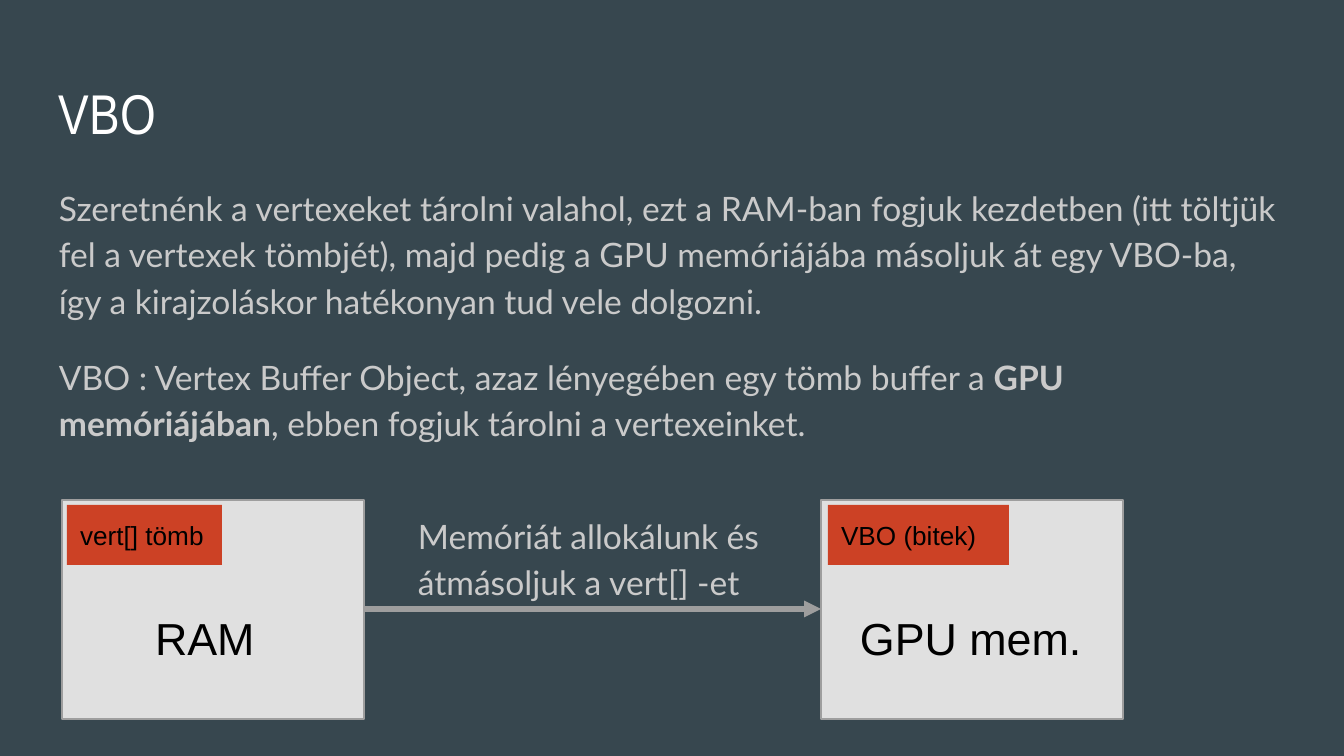
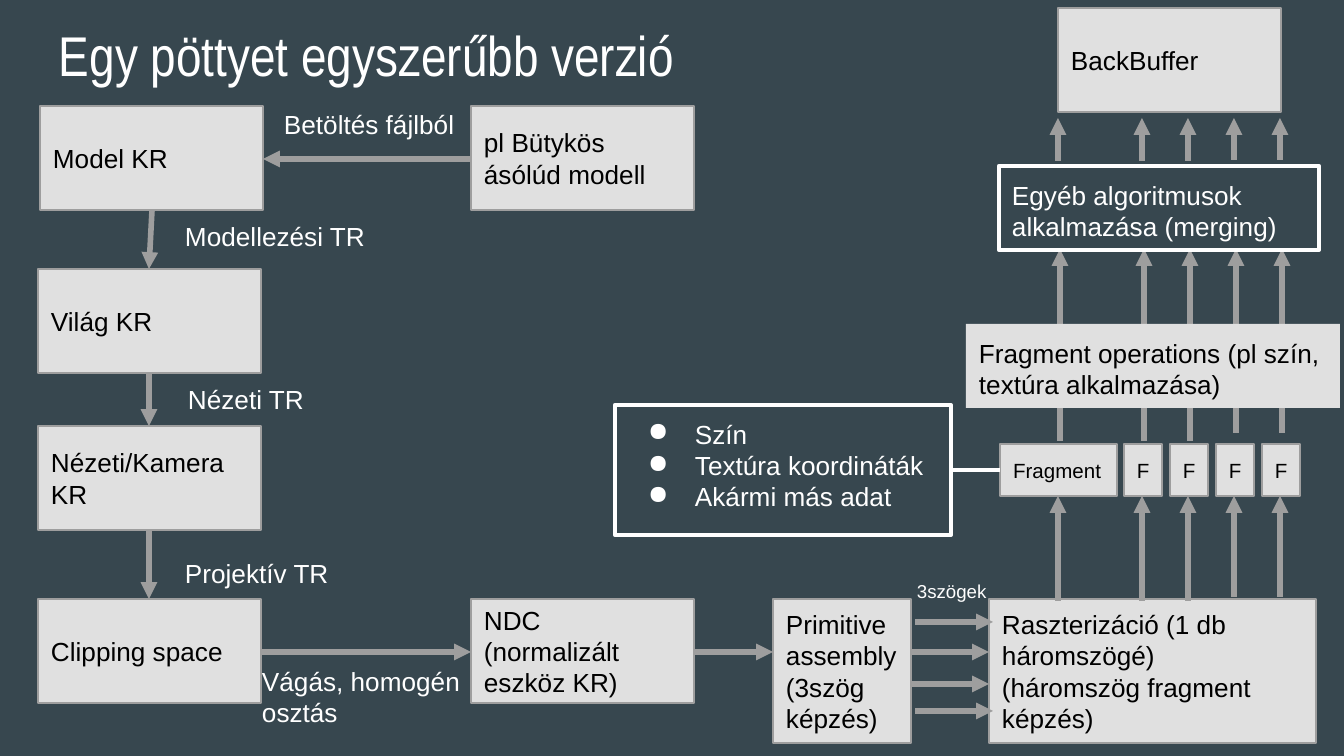
from lxml.etree import SubElement
from pptx import Presentation
from pptx.dml.color import RGBColor
from pptx.enum.shapes import MSO_CONNECTOR as Connector, MSO_SHAPE as Shape
from pptx.enum.text import MSO_ANCHOR as Anchor, MSO_AUTO_SIZE as AutoSize, PP_ALIGN as Align
from pptx.oxml.ns import qn
from pptx.util import Emu, Pt

# Shared look
SLATE = RGBColor(0x37, 0x47, 0x4F)
PALE = RGBColor(0xE0, 0xE0, 0xE0)
GREY = RGBColor(0x9E, 0x9E, 0x9E)
SOFT = RGBColor(0xCA, 0xCA, 0xCA)
RED = RGBColor(0xCC, 0x41, 0x25)
WHITE = RGBColor(0xFF, 0xFF, 0xFF)
BLACK = RGBColor(0x00, 0x00, 0x00)
SCALE = 914400 / 134.4
WIDTH, HEIGHT, INSET = 1344, 756, 13
TITLE_LEFT, TITLE_WIDTH, TITLE_HEIGHT = 46, 1253, 85

# Memory slide: a paragraph is a string or a list of (text, bold) spans
VBO_BODY = [
    "Szeretnénk a vertexeket tárolni valahol, ezt a RAM-ban fogjuk kezdetben (itt töltjük "
    "fel a vertexek tömbjét), majd pedig a GPU memóriájába másoljuk át egy VBO-ba, "
    "így a kirajzoláskor hatékonyan tud vele dolgozni.",
    [("VBO : Vertex Buffer Object, azaz lényegében egy tömb buffer a ", False),
     ("GPU memóriájában", True),
     (", ebben fogjuk tárolni a vertexeinket.", False)],
]
COPY_NOTE = "Memóriát allokálunk és átmásoljuk a vert[] -et"
MEMORY_TOP, MEMORY_WIDTH, MEMORY_HEIGHT = 500, 302, 219
MEMORIES = [  # left, name, name left, name width, tag, tag left, tag width
    (62, "RAM", 142, 128, "vert[] tömb", 67, 155),
    (821, "GPU mem.", 847, 258, "VBO (bitek)", 828, 181),
]

# Pipeline slide
NODE_WIDTH, NODE_HEIGHT = 223, 104
NODES = [
    (40, 106, "Model KR"),
    (38, 269, "Világ KR"),
    (38, 426, "Nézeti/Kamera KR"),
    (38, 599, "Clipping space"),
    (471, 599, "NDC", "(normalizált eszköz KR)"),
    (471, 106, "pl Bütykös ásólúd modell"),
    (1058, 8, "BackBuffer"),
]
STAGES = [  # place, paragraphs
    ((773, 599, 138, 144), ["Primitive assembly", "(3szög képzés)"]),
    ((989, 599, 327, 144), ["Raszterizáció (1 db háromszögé)", "(háromszög fragment képzés)"]),
]
LABEL_WIDTH, LABEL_HEIGHT = 249, 60
LABELS = [
    (172, 207, "Modellezési TR"),
    (175, 370, "Nézeti TR"),
    (172, 544, "Projektív TR"),
    (249, 652, "Vágás, homogén osztás"),
    (271, 95, "Betöltés fájlból"),
]
FLOW = [
    (152, 211, 149, 269),
    (149, 373, 149, 426),
    (149, 530, 149, 599),
    (261, 652, 471, 652),
    (694, 652, 773, 652),
    (471, 159, 263, 159),
]
TRIANGLES = [(915, 622), (911, 652), (911, 684), (915, 711)]
TRIANGLE_LENGTH = 78
COLUMN_GAP = 46
FRAGMENT_COLUMNS = [1058] + [1142 + COLUMN_GAP * i for i in range(4)]
LIFTS = [  # x shift, start of first three, start of last two, end
    (0, 601, 597, 496),
    (2, 441, 433, 249),
    (0, 161, 160, 118),
]
FRAGMENT_DATA = ["Szín", "Textúra koordináták", "Akármi más adat"]


def px(value):
    return Emu(round(value * SCALE))


def write(shape, paragraphs, size=14, font="Arial", color=BLACK, anchor=Anchor.TOP,
          spacing=None, gap=0, bullet=None):
    """Fill a shape with formatted paragraphs."""
    frame = shape.text_frame
    frame.word_wrap = True
    frame.auto_size = AutoSize.NONE
    frame.vertical_anchor = anchor
    frame.margin_left = frame.margin_right = px(INSET)
    frame.margin_top = frame.margin_bottom = px(INSET)
    for index, content in enumerate(paragraphs):
        para = frame.add_paragraph() if index else frame.paragraphs[0]
        para.alignment = Align.LEFT
        if spacing:
            para.line_spacing = spacing
        if index and gap:
            para.space_before = Pt(gap)
        if bullet:
            props = para._p.get_or_add_pPr()
            props.set("marL", str(px(67)))
            props.set("indent", str(px(-47)))
            tint = SubElement(props, qn("a:buClr"))
            SubElement(tint, qn("a:srgbClr")).set("val", str(color))
            SubElement(props, qn("a:buChar")).set("char", bullet)
        spans = [(content, False)] if isinstance(content, str) else content
        for text, bold in spans:
            span = para.add_run()
            span.text = text
            span.font.name = font
            span.font.size = Pt(size)
            span.font.bold = bold
            span.font.color.rgb = color


def add_box(page, place, paragraphs=(), fill=PALE, line=GREY, weight=0.75,
            anchor=Anchor.MIDDLE, **style):
    box = page.shapes.add_shape(Shape.RECTANGLE, *map(px, place))
    box.shadow.inherit = False
    if fill is None:
        box.fill.background()
    else:
        box.fill.solid()
        box.fill.fore_color.rgb = fill
    if line is None:
        box.line.fill.background()
    else:
        box.line.color.rgb = line
        box.line.width = Pt(weight)
    write(box, paragraphs, anchor=anchor, **style)


def add_text(page, place, paragraphs, **style):
    write(page.shapes.add_textbox(*map(px, place)), paragraphs, **style)


def add_line(page, ends, color=GREY, weight=3, arrow=True):
    line = page.shapes.add_connector(Connector.STRAIGHT, *map(px, ends))
    line.line.color.rgb = color
    line.line.width = Pt(weight)
    props = line._element.spPr
    if arrow:
        SubElement(props.find(qn("a:ln")), qn("a:tailEnd")).set("type", "triangle")
    SubElement(props, qn("a:effectLst"))


def add_page(deck, title, top):
    page = deck.slides.add_slide(deck.slide_layouts.get_by_name("Title Only"))
    heading = page.shapes.title
    heading.left, heading.top = px(TITLE_LEFT), px(top)
    heading.width, heading.height = px(TITLE_WIDTH), px(TITLE_HEIGHT)
    write(heading, [title], size=30, font="Arial Narrow", color=WHITE)
    return page


def build_memory_page(deck):
    page = add_page(deck, "VBO", 66)
    prose = dict(size=18, font="Lato", color=SOFT, spacing=1.15)
    add_text(page, (TITLE_LEFT, 169, TITLE_WIDTH, 503), VBO_BODY, gap=16, **prose)

    # Memory blocks with their tags
    for left, name, name_left, name_width, tag, tag_left, tag_width in MEMORIES:
        add_box(page, (left, MEMORY_TOP, MEMORY_WIDTH, MEMORY_HEIGHT))
        add_box(page, (tag_left, MEMORY_TOP + 5, tag_width, 60), [tag], fill=RED, line=None)
        add_text(page, (name_left, 598, name_width, 67), [name], size=24)

    # Copy step
    source, target = MEMORIES[0][0], MEMORIES[1][0]
    add_line(page, (source + MEMORY_WIDTH, 609, target, 609))
    add_text(page, (405, 497, 372, 122), [COPY_NOTE], **prose)


def build_pipeline_page(deck):
    page = add_page(deck, "Egy pöttyet egyszerűbb verzió", 8)

    # Steps and their labels
    for left, top, *paragraphs in NODES:
        add_box(page, (left, top, NODE_WIDTH, NODE_HEIGHT), paragraphs)
    for place, paragraphs in STAGES:
        add_box(page, place, paragraphs)
    for left, top, text in LABELS:
        add_text(page, (left, top, LABEL_WIDTH, LABEL_HEIGHT), [text], color=WHITE)
    add_text(page, (904, 567, 138, LABEL_HEIGHT), ["3szögek"], size=10, color=WHITE)

    # Fragments and the data they carry
    add_box(page, (1000, 444, 117, 52), ["Fragment"], size=11)
    for index in range(4):
        add_box(page, (1124 + COLUMN_GAP * index, 444, 38, 52), ["F"], size=11)
    outline = dict(fill=None, line=WHITE, weight=2.25, anchor=Anchor.TOP, color=WHITE)
    add_box(page, (615, 405, 336, 130), FRAGMENT_DATA, bullet="●", **outline)
    add_line(page, (951, 470, 1000, 470), color=WHITE, weight=2.25, arrow=False)

    # Arrows
    for ends in FLOW:
        add_line(page, ends)
    for left, y in TRIANGLES:
        add_line(page, (left, y, left + TRIANGLE_LENGTH, y))
    for shift, near, far, end in LIFTS:
        for index, x in enumerate(FRAGMENT_COLUMNS):
            add_line(page, (x + shift, near if index < 3 else far, x + shift, end))

    # Operations lying over the arrows
    add_box(page, (966, 324, 374, 84),
            ["Fragment operations (pl szín, textúra alkalmazása)"],
            line=None, anchor=Anchor.TOP)
    add_box(page, (999, 166, 320, 84), ["Egyéb algoritmusok alkalmazása (merging)"], **outline)


def main():
    deck = Presentation()
    deck.slide_width, deck.slide_height = px(WIDTH), px(HEIGHT)
    backdrop = deck.slide_master.background.fill
    backdrop.solid()
    backdrop.fore_color.rgb = SLATE
    build_memory_page(deck)
    build_pipeline_page(deck)
    deck.save("out.pptx")


if __name__ == "__main__":
    main()
